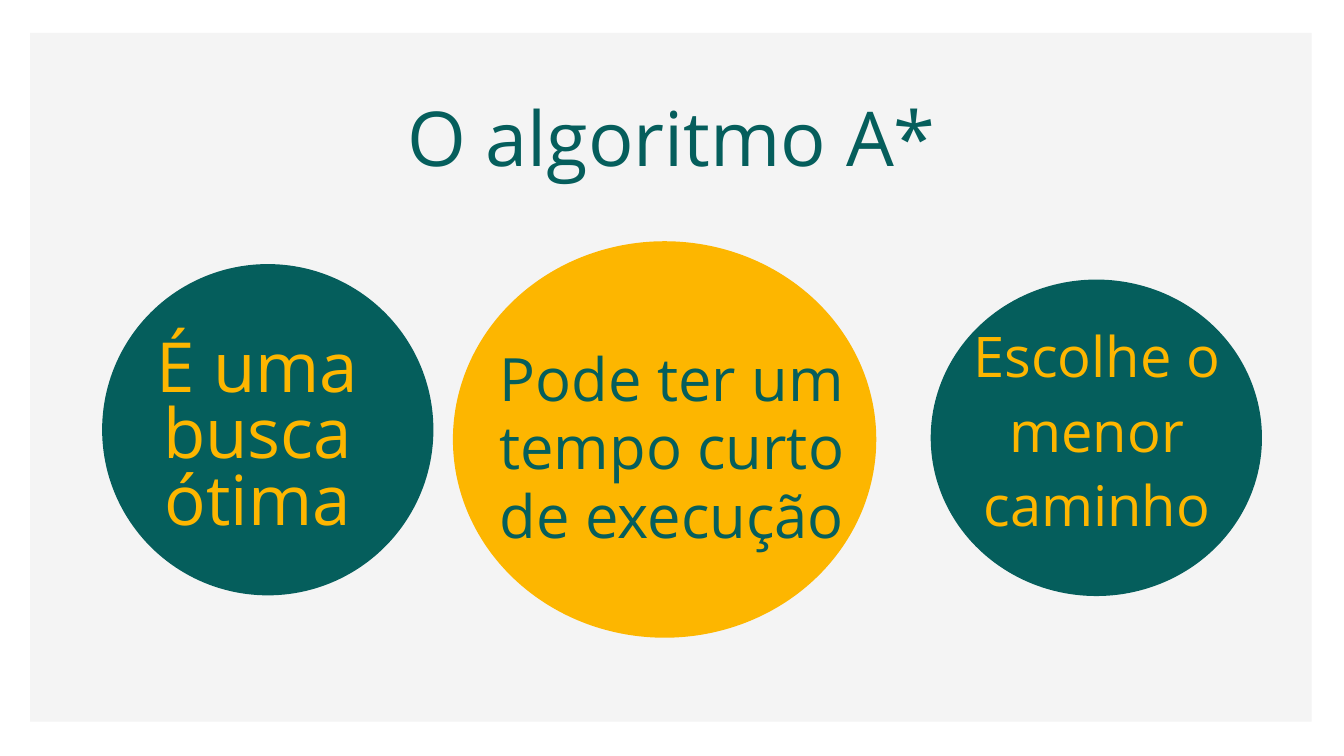
from pptx import Presentation
from pptx.dml.color import RGBColor
from pptx.enum import shapes, text
from pptx.util import Inches, Pt

TEAL = RGBColor(0x05, 0x5E, 0x5C)
AMBER = RGBColor(0xFD, 0xB6, 0x00)
PALE = RGBColor(0xF4, 0xF4, 0xF4)
FONT = "Open Sans"

PANEL = (0.45, 0.49, 19.07, 10.25)
TITLE = ("O algoritmo A*", (1.44, 1.41, 17.11, 1.25), 81, 1)
CIRCLES = [
    ((6.74, 3.59, 6.3, 5.9), AMBER, TEAL,
     ("Pode ter um tempo curto de execução", (7.25, 5.26, 5.49, 2.86), 64, 0.95)),
    ((1.52, 3.93, 4.93, 4.93), TEAL, AMBER,
     ("É uma busca ótima", (1.75, 4.77, 4.17, 3.52), 74, 0.8)),
    ((13.85, 4.16, 4.93, 4.71), TEAL, AMBER,
     ("Escolhe o menor caminho", (13.67, 4.91, 5.3, 2.86), 60, 1.11)),
]

presentation = Presentation()
presentation.slide_width = Inches(20)
presentation.slide_height = Inches(11.25)
slide = presentation.slides.add_slide(presentation.slide_layouts[6])


def add_filled(kind, box, color):
    shape = slide.shapes.add_shape(kind, *map(Inches, box))
    shape.shadow.inherit = False
    shape.fill.solid()
    shape.fill.fore_color.rgb = color
    shape.line.fill.background()


def add_label(label, color):
    words, box, size, spacing = label
    frame = slide.shapes.add_textbox(*map(Inches, box)).text_frame
    frame.word_wrap = True
    frame.vertical_anchor = text.MSO_ANCHOR.MIDDLE
    frame.margin_left = frame.margin_right = 0
    frame.margin_top = frame.margin_bottom = 0
    frame.text = words
    paragraph = frame.paragraphs[0]
    paragraph.alignment = text.PP_ALIGN.CENTER
    paragraph.line_spacing = spacing
    font = paragraph.runs[0].font
    font.name = FONT
    font.size = Pt(size)
    font.color.rgb = color


add_filled(shapes.MSO_SHAPE.RECTANGLE, PANEL, PALE)
add_label(TITLE, TEAL)
for box, fill, ink, label in CIRCLES:
    add_filled(shapes.MSO_SHAPE.OVAL, box, fill)
    add_label(label, ink)

presentation.save("out.pptx")
